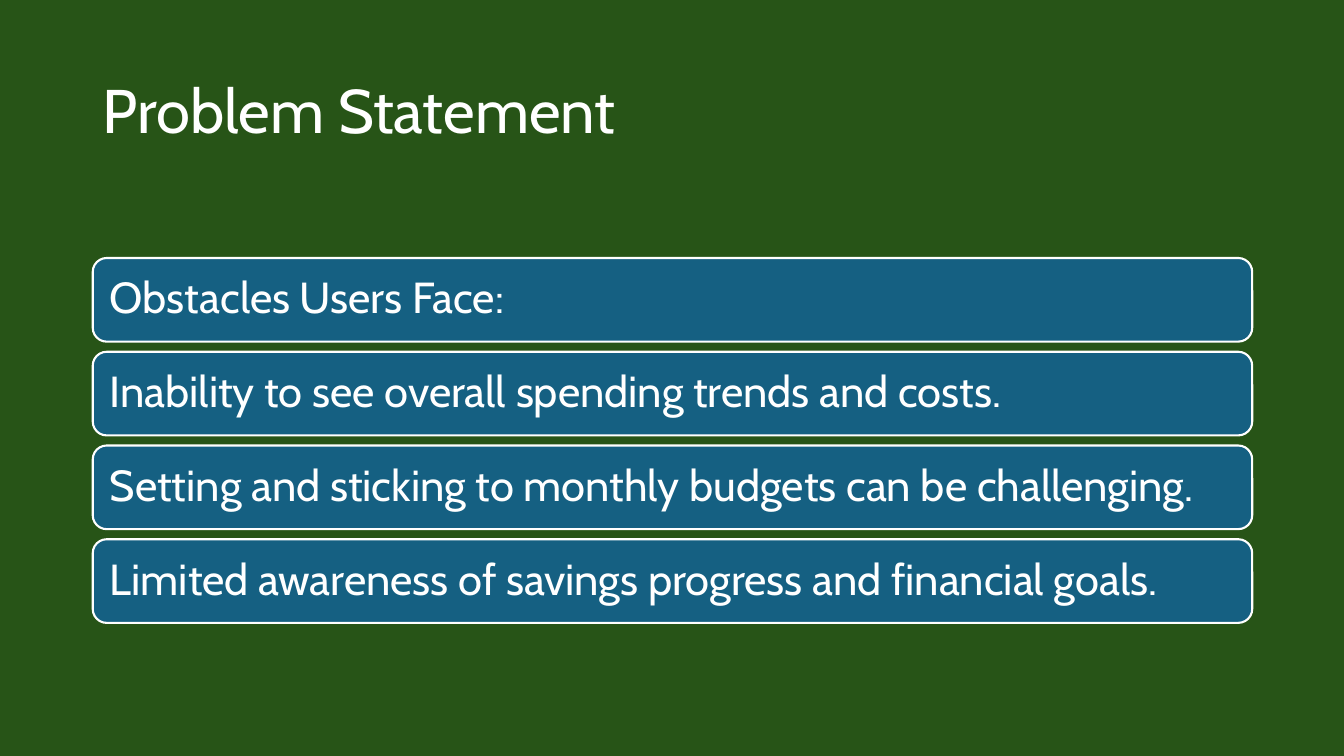
import pptx
import pptx.dml.color
import pptx.enum.shapes
import pptx.enum.text
import pptx.util

Inches = pptx.util.Inches
COLORS = {"background": "275417", "bar": "156082", "white": "FFFFFF"}
OBSTACLES = [
    "Obstacles Users Face:",
    "Inability to see overall spending trends and costs.",
    "Setting and sticking to monthly budgets can be challenging.",
    "Limited awareness of savings progress and financial goals.",
]
LEFT, WIDTH = 0.92, 11.5
BAR_TOP, BAR_HEIGHT, BAR_GAP = 2.56, 0.83, 0.1


def set_values(target, values):
    for name, value in values.items():
        setattr(target, name, value)


class SlideBuilder:
    """Draws titles and bars on one slide in a shared style."""

    def __init__(self, slide):
        self.slide = slide
        self.font_name = "Cabin"
        self.paint(slide.background.fill, "background")

    def color(self, name):
        return pptx.dml.color.RGBColor.from_string(COLORS[name])

    def paint(self, fill, name):
        fill.solid()
        fill.fore_color.rgb = self.color(name)

    def add_label(self, box, text, size, inset_x, inset_y):
        frame = box.text_frame
        set_values(frame, {
            "word_wrap": True,
            "vertical_anchor": pptx.enum.text.MSO_ANCHOR.MIDDLE,
            "margin_left": Inches(inset_x),
            "margin_right": Inches(inset_x),
            "margin_top": Inches(inset_y),
            "margin_bottom": Inches(inset_y),
        })
        para = frame.paragraphs[0]
        set_values(para, {
            "alignment": pptx.enum.text.PP_ALIGN.LEFT,
            "line_spacing": 0.9,
        })
        span = para.add_run()
        span.text = text
        set_values(span.font, {"name": self.font_name, "size": pptx.util.Pt(size)})
        span.font.color.rgb = self.color("white")

    def title(self, text, top, height):
        box = self.slide.shapes.add_textbox(
            Inches(LEFT), Inches(top), Inches(WIDTH), Inches(height))
        self.add_label(box, text, 44, 0.1, 0.05)

    def bar(self, text, top):
        box = self.slide.shapes.add_shape(
            pptx.enum.shapes.MSO_SHAPE.ROUNDED_RECTANGLE,
            Inches(LEFT), Inches(top), Inches(WIDTH), Inches(BAR_HEIGHT))
        box.shadow.inherit = False
        self.paint(box.fill, "bar")
        self.paint(box.line.fill, "white")
        box.line.width = pptx.util.Pt(1.5)
        self.add_label(box, text, 31, 0.13, 0.13)


def main():
    deck = pptx.Presentation()
    set_values(deck, {"slide_width": Inches(13.33), "slide_height": Inches(7.5)})
    page = SlideBuilder(deck.slides.add_slide(deck.slide_layouts[6]))
    page.title("Problem Statement", 0.4, 1.45)
    for index, obstacle in enumerate(OBSTACLES):
        page.bar(obstacle, BAR_TOP + index * (BAR_HEIGHT + BAR_GAP))
    deck.save("out.pptx")


if __name__ == "__main__":
    main()
